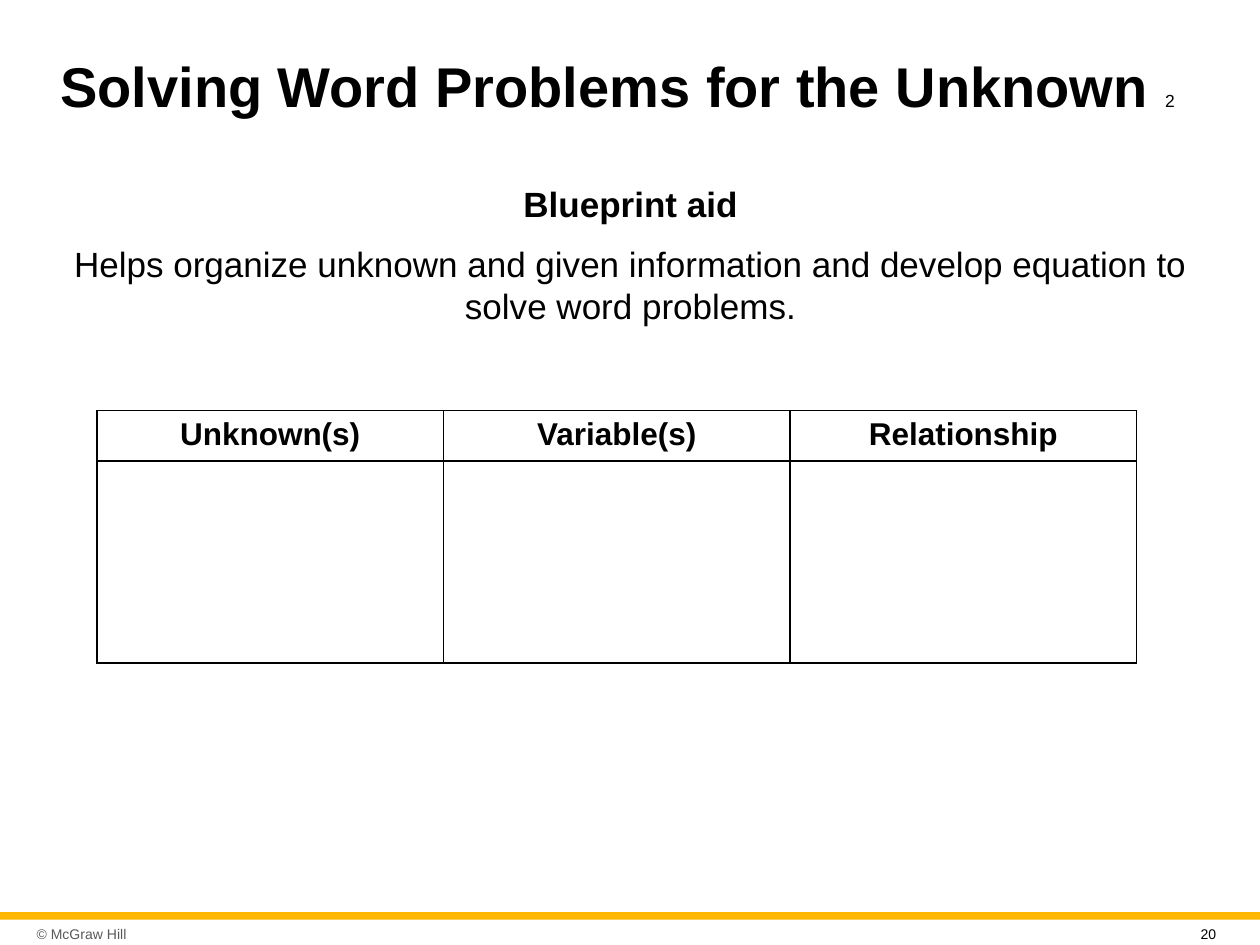
from lxml.etree import SubElement
from pptx import Presentation
from pptx.dml.color import RGBColor
from pptx.enum.shapes import MSO_SHAPE
from pptx.enum.text import MSO_ANCHOR, PP_ALIGN
from pptx.oxml.ns import qn
from pptx.util import Inches, Pt

BLACK = RGBColor(0x00, 0x00, 0x00)
GRAY = RGBColor(0x59, 0x59, 0x59)
GOLD = RGBColor(0xFF, 0xB6, 0x00)

COLUMNS, ROWS = 100, 75  # layout grid of the slide


class SlideBuilder:
    font_name = "Arial"

    def __init__(self, presentation):
        self.column = presentation.slide_width / COLUMNS
        self.row = presentation.slide_height / ROWS
        self.slide = presentation.slides.add_slide(presentation.slide_layouts[6])

    def place(self, left, top, width, height):
        """Turn grid columns and rows into slide lengths."""
        return (round(left * self.column), round(top * self.row),
                round(width * self.column), round(height * self.row))

    def add_run(self, paragraph, text, size, bold=False, color=BLACK):
        run = paragraph.add_run()
        run.text = text
        run.font.name = self.font_name
        run.font.size = Pt(size)
        run.font.bold = bold
        run.font.color.rgb = color

    def bar(self, area, color):
        shape = self.slide.shapes.add_shape(MSO_SHAPE.RECTANGLE, *self.place(*area))
        shape.shadow.inherit = False
        shape.fill.solid()
        shape.fill.fore_color.rgb = color
        shape.line.fill.background()

    def text(self, area, paragraphs, align=PP_ALIGN.LEFT, anchor=MSO_ANCHOR.TOP,
             gap=0, line_spacing=1.0, inset=0.1):
        """Each paragraph is a list of runs: (text, size, bold, color)."""
        frame = self.slide.shapes.add_textbox(*self.place(*area)).text_frame
        frame.word_wrap = True
        frame.vertical_anchor = anchor
        frame.margin_left = frame.margin_right = Inches(inset)
        frame.margin_top = frame.margin_bottom = Inches(0.05)
        for index, runs in enumerate(paragraphs):
            paragraph = frame.add_paragraph() if index else frame.paragraphs[0]
            paragraph.alignment = align
            paragraph.line_spacing = line_spacing
            if index:
                paragraph.space_before = Pt(gap)
            for run in runs:
                self.add_run(paragraph, *run)

    def border(self, cell, color, width):
        properties = cell._tc.get_or_add_tcPr()
        for position, side in enumerate(("a:lnL", "a:lnR", "a:lnT", "a:lnB")):
            line = properties.makeelement(qn(side), {"w": str(Pt(width))})
            fill = SubElement(line, qn("a:solidFill"))
            SubElement(fill, qn("a:srgbClr"), val=str(color))
            properties.insert(position, line)

    def table(self, area, headings, row_heights):
        table = self.slide.shapes.add_table(
            len(row_heights), len(headings), *self.place(*area)).table
        table.horz_banding = False
        for table_row, height in zip(table.rows, row_heights):
            table_row.height = round(height * self.row)
        for cell in table.iter_cells():
            cell.fill.background()
            self.border(cell, BLACK, 1)
        for index, heading in enumerate(headings):
            paragraph = table.cell(0, index).text_frame.paragraphs[0]
            paragraph.alignment = PP_ALIGN.CENTER
            self.add_run(paragraph, heading, 18, bold=True)


def main():
    presentation = Presentation()
    presentation.slide_width = Inches(10)
    presentation.slide_height = Inches(7.5)
    builder = SlideBuilder(presentation)

    # Footer bar and copyright line
    builder.bar((0, 72.4, COLUMNS, 0.6), GOLD)
    builder.text((2.4, 72.9, 13.5, 2.4), [[("© McGraw Hill", 8, False, GRAY)]],
                 anchor=MSO_ANCHOR.MIDDLE, inset=0.05)

    # Title with its part number
    builder.text((3.8, 2.1, 92.5, 9.9),
                 [[("Solving Word Problems for the Unknown ", 32, True), ("2", 10)]],
                 anchor=MSO_ANCHOR.MIDDLE, line_spacing=0.9)

    # Explanation
    builder.text((3.8, 14, 92.5, 12.7), [
        [("Blueprint aid", 20, True)],
        [("Helps organize unknown and given information and develop "
          "equation to solve word problems.", 20)],
    ], align=PP_ALIGN.CENTER, gap=10)

    # Blueprint table
    builder.table((7.7, 32.6, 82.5, 19.8),
                  ["Unknown(s)", "Variable(s)", "Relationship"], [3.8, 16])

    # Slide number
    builder.text((94.3, 73, 3.9, 1.8), [[("20", 8)]])

    presentation.save("out.pptx")


if __name__ == "__main__":
    main()
